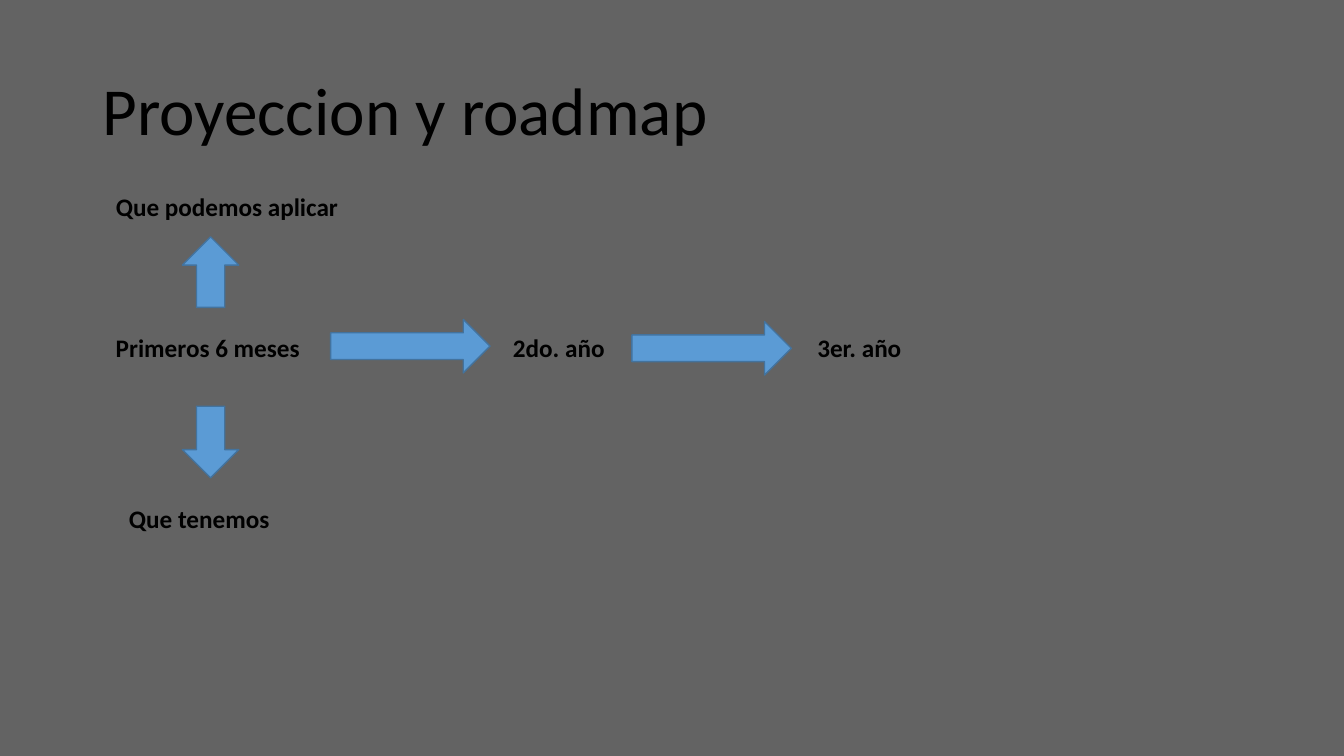
import pptx
import pptx.util
import pptx.dml.color
import pptx.enum.shapes
import pptx.enum.text

Pt = pptx.util.Pt
ARROW = pptx.enum.shapes.MSO_SHAPE
BACKGROUND, BLACK, BLUE, DARK_BLUE = "636363", "000000", "5B9BD5", "43739E"

LABELS = [
    ("Primeros 6 meses", 75.6, 234, 151.2),
    ("2do. año", 359.3, 234, 151.2),
    ("3er. año", 576.7, 234, 151.2),
    ("Que podemos aplicar", 75.6, 133.2, 190),
    ("Que tenemos", 85, 355.7, 151.2),
]
ARROWS = [
    (ARROW.RIGHT_ARROW, 236.2, 228.2, 113.8, 38.2),
    (ARROW.RIGHT_ARROW, 451.4, 229.7, 113.8, 38.2),
    (ARROW.DOWN_ARROW, 130.3, 290.2, 40.3, 51.1),
    (ARROW.UP_ARROW, 130.3, 169.2, 40.3, 50.4),
]


def rgb(color):
    return pptx.dml.color.RGBColor.from_string(color)


def set_font(p, size, bold=False):
    p.font.name = "Calibri"
    p.font.size = Pt(size)
    p.font.bold = bold
    p.font.color.rgb = rgb(BLACK)


def set_title(s, text):
    title = s.shapes.title
    title.left, title.top, title.width, title.height = Pt(66), Pt(28.8), Pt(828), Pt(104.4)
    tf = title.text_frame
    tf.text = text
    tf.vertical_anchor = pptx.enum.text.MSO_ANCHOR.MIDDLE
    p = tf.paragraphs[0]
    p.alignment = pptx.enum.text.PP_ALIGN.LEFT
    p.line_spacing = 0.9
    set_font(p, 48)


def add_label(s, text, left, top, width):
    tf = s.shapes.add_textbox(Pt(left), Pt(top), Pt(width), Pt(29)).text_frame
    tf.word_wrap = True
    tf.auto_size = pptx.enum.text.MSO_AUTO_SIZE.SHAPE_TO_FIT_TEXT
    tf.text = text
    set_font(tf.paragraphs[0], 18, bold=True)


def add_arrow(s, kind, left, top, width, height):
    sp = s.shapes.add_shape(kind, Pt(left), Pt(top), Pt(width), Pt(height))
    sp.shadow.inherit = False
    sp.fill.solid()
    sp.fill.fore_color.rgb = rgb(BLUE)
    sp.line.color.rgb = rgb(DARK_BLUE)
    sp.line.width = Pt(1)


def main():
    prs = pptx.Presentation()
    prs.slide_width, prs.slide_height = Pt(960), Pt(540)
    s = prs.slides.add_slide(prs.slide_layouts[5])
    s.background.fill.solid()
    s.background.fill.fore_color.rgb = rgb(BACKGROUND)
    set_title(s, "Proyeccion y roadmap")
    for label in LABELS:
        add_label(s, *label)
    for arrow in ARROWS:
        add_arrow(s, *arrow)
    prs.save("out.pptx")


if __name__ == "__main__":
    main()
